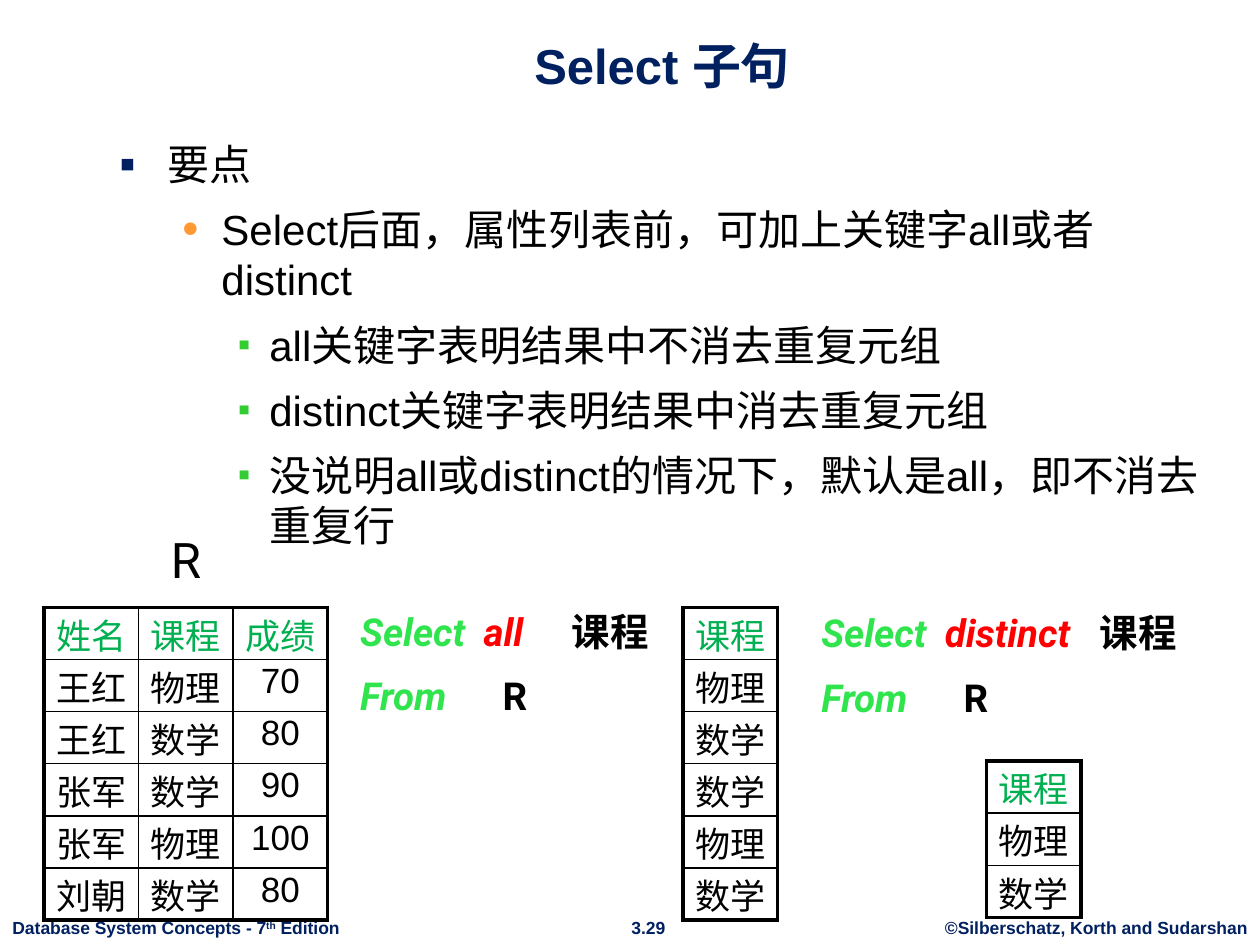
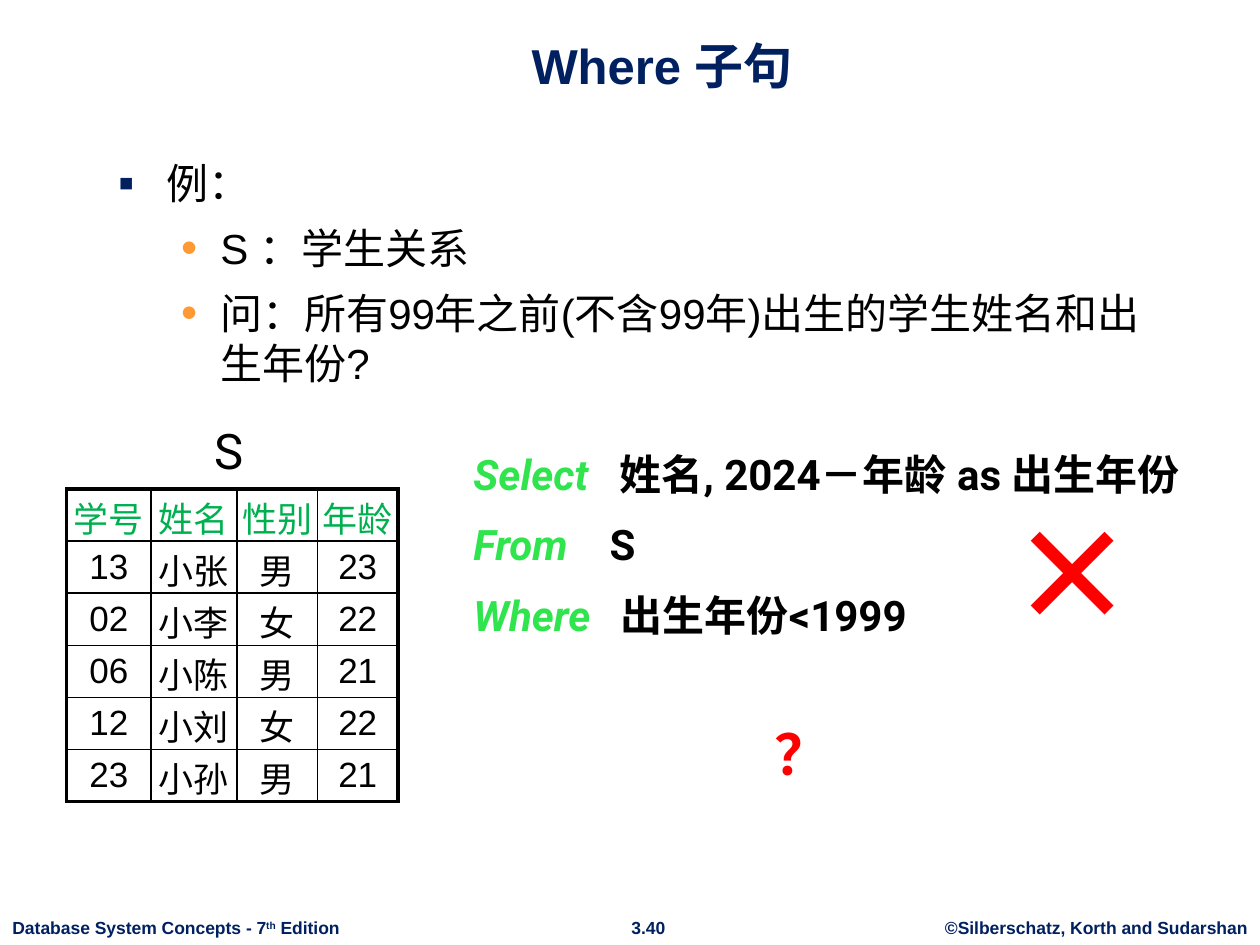
from lxml.etree import SubElement
from pptx import Presentation
from pptx.dml.color import RGBColor
from pptx.enum.text import MSO_ANCHOR as Anchor, PP_ALIGN as Align
from pptx.oxml.ns import qn
from pptx.util import Inches, Pt

NAVY, BLACK, WHITE, RED = "002060", "000000", "FFFFFF", "FF0000"
KEYWORD, HEADER_GREEN = "30E44E", "00B050"
SANS, CODE, SYMBOL = "Arial", "Roboto", "Noto Sans CJK SC"
LEVELS = [
    (0.38, -0.38, "▪", NAVY, 110),
    (0.81, -0.31, "•", "FF9933", 110),
    (1.19, -0.25, "▪", "33CC33", 85),
]
ROW_HEIGHT = 0.41
THIN, THICK = 1, 2.25


def rgb(value):
    """Turn a hex string into a colour."""
    return RGBColor.from_string(value)


def add_run(paragraph, text, size, color=BLACK, font=SANS, bold=False, italic=False):
    """Append one formatted run and return it."""
    run = paragraph.add_run()
    run.text = text
    run.font.size = Pt(size)
    run.font.bold = bold
    run.font.italic = italic
    run.font.color.rgb = rgb(color)
    run.font.name = font
    SubElement(run.font._element, qn("a:ea"), typeface=font)
    return run


def add_frame(slide, left, top, width, height, wrap=True, anchor=Anchor.TOP):
    """Add an empty text box and return its text frame."""
    box = slide.shapes.add_textbox(Inches(left), Inches(top), Inches(width), Inches(height))
    frame = box.text_frame
    frame.word_wrap = wrap
    frame.vertical_anchor = anchor
    return frame


def next_paragraph(frame, index, gap):
    """Return the paragraph at index, spaced from the one before it."""
    if index == 0:
        return frame.paragraphs[0]
    paragraph = frame.add_paragraph()
    paragraph.space_before = Pt(gap)
    return paragraph


def add_label(slide, place, text, size, color=BLACK, font=SANS, bold=False,
              align=Align.CENTER, wrap=True, anchor=Anchor.TOP):
    """Add a one-line text box and return its text frame."""
    frame = add_frame(slide, *place, wrap=wrap, anchor=anchor)
    frame.paragraphs[0].alignment = align
    add_run(frame.paragraphs[0], text, size, color, font, bold)
    return frame


def add_footer(slide, number):
    """Add the book name, the page number and the copyright line."""
    add_label(slide, (7.4, 7.23, 2.6, 0.27), "©Silberschatz, Korth and Sudarshan",
              10, NAVY, bold=True, wrap=False)
    add_label(slide, (4.9, 7.23, 0.49, 0.27), number, 10, NAVY, bold=True, wrap=False)
    book = add_label(slide, (0, 7.23, 2.81, 0.27), "Database System Concepts - 7",
                     10, NAVY, bold=True, align=Align.LEFT, wrap=False).paragraphs[0]
    ordinal = add_run(book, "th", 10, NAVY, bold=True)
    ordinal.font._element.set("baseline", "30000")
    add_run(book, " Edition", 10, NAVY, bold=True)


def start_slide(deck, title, number):
    """Add a blank slide with the shared title and footer."""
    slide = deck.slides.add_slide(deck.slide_layouts[6])
    add_footer(slide, number)
    add_label(slide, (0.84, 0.13, 8.83, 0.67), title, 28, NAVY, bold=True,
              anchor=Anchor.BOTTOM)
    return slide


def add_outline(slide, place, points):
    """Add bulleted (level, text) points."""
    frame = add_frame(slide, *place)
    for index, (level, text) in enumerate(points):
        paragraph = next_paragraph(frame, index, 8.4)
        margin, indent, mark, color, percent = LEVELS[level]
        paragraph.level = level
        properties = paragraph._p.get_or_add_pPr()
        properties.set("marL", str(Inches(margin)))
        properties.set("indent", str(Inches(indent)))
        mark_color = SubElement(properties, qn("a:buClr"))
        SubElement(mark_color, qn("a:srgbClr"), val=color)
        SubElement(properties, qn("a:buSzPct"), val=str(percent * 1000))
        SubElement(properties, qn("a:buFont"), typeface=SANS)
        SubElement(properties, qn("a:buChar"), char=mark)
        add_run(paragraph, text, 24)


def add_query(slide, place, size, clauses):
    """Add SQL clauses given as tab stops and (text, colour) parts."""
    frame = add_frame(slide, *place)
    for index, (stops, parts) in enumerate(clauses):
        paragraph = next_paragraph(frame, index, size * 0.3)
        tabs = SubElement(paragraph._p.get_or_add_pPr(), qn("a:tabLst"))
        for stop in stops:
            SubElement(tabs, qn("a:tab"), pos=str(Inches(stop)), algn="l")
        paragraph.line_spacing = 1.15
        for text, color in parts:
            add_run(paragraph, text, size, color, CODE, True, color != BLACK)


def set_borders(cell, widths):
    """Draw the left, right, top and bottom borders of a cell."""
    properties = cell._tc.get_or_add_tcPr()
    for position, (side, width) in enumerate(zip("LRTB", widths)):
        line = properties.makeelement(qn(f"a:ln{side}"), {"w": str(Pt(width))})
        fill = SubElement(line, qn("a:solidFill"))
        SubElement(fill, qn("a:srgbClr"), val=BLACK)
        properties.insert(position, line)


def fill_cell(cell, text, is_header, side_inset, anchor):
    """Write one table cell; Chinese words sit lower than digits."""
    cell.fill.solid()
    cell.fill.fore_color.rgb = rgb(WHITE)
    cell.vertical_anchor = anchor
    cell.margin_left = cell.margin_right = Inches(side_inset)
    is_number = text.isdigit()
    cell.margin_top = Inches(0.02 if is_number else 0.08)
    cell.margin_bottom = Inches(0.02 if is_number else 0)
    paragraph = cell.text_frame.paragraphs[0]
    paragraph.alignment = Align.CENTER
    add_run(paragraph, text, 20, HEADER_GREEN if is_header else BLACK)


def add_relation(slide, left, top, widths, rows, side_inset=0.04, anchor=Anchor.TOP):
    """Add a relation as a table with a thick frame and thin inner lines."""
    frame = slide.shapes.add_table(len(rows), len(widths), Inches(left), Inches(top),
                                   Inches(sum(widths)), Inches(ROW_HEIGHT * len(rows)))
    table = frame.table
    table.horz_banding = False
    for column, width in zip(table.columns, widths):
        column.width = Inches(width)
    for r, values in enumerate(rows):
        table.rows[r].height = Inches(ROW_HEIGHT)
        for c, text in enumerate(values):
            cell = table.cell(r, c)
            fill_cell(cell, text, r == 0, side_inset, anchor)
            edges = (c == 0, c == len(widths) - 1, r == 0, r == len(rows) - 1)
            set_borders(cell, [THICK if edge else THIN for edge in edges])


def build_select_slide(deck):
    """Build the slide on all and distinct."""
    slide = start_slide(deck, "Select 子句", "3.29")
    add_outline(slide, (0.85, 1.05, 8.93, 5.36), [
        (0, "要点"),
        (1, "Select后面，属性列表前，可加上关键字all或者distinct"),
        (2, "all关键字表明结果中不消去重复元组"),
        (2, "distinct关键字表明结果中消去重复元组"),
        (2, "没说明all或distinct的情况下，默认是all，即不消去重复行"),
    ])
    add_label(slide, (0.85, 4.15, 1.25, 0.57), "R", 28, font=CODE)
    grades = [
        ("姓名", "课程", "成绩"),
        ("王红", "物理", "70"),
        ("王红", "数学", "80"),
        ("张军", "数学", "90"),
        ("张军", "物理", "100"),
        ("刘朝", "数学", "80"),
    ]
    all_courses = [(course,) for _, course, _ in grades]
    distinct_courses = list(dict.fromkeys(all_courses))
    add_relation(slide, 0.35, 4.82, [0.75] * 3, grades)
    add_relation(slide, 5.42, 4.82, [0.75], all_courses)
    add_relation(slide, 7.83, 6.04, [0.75], distinct_courses)
    for place, quantifier, course_stop in [
        ((2.76, 4.72, 2.78, 1.05), "all", 1.68),
        ((6.42, 4.73, 3.58, 1.05), "distinct", 2.21),
    ]:
        add_query(slide, place, 22, [
            ((0.98, course_stop),
             [("Select\t", KEYWORD), (quantifier + "\t", RED), ("课程", BLACK)]),
            ((1.13,), [("From\t", KEYWORD), ("R", BLACK)]),
        ])


def build_where_slide(deck):
    """Build the slide with the faulty where clause."""
    slide = start_slide(deck, "Where 子句", "3.40")
    add_outline(slide, (0.84, 1.2, 8.43, 5.36), [
        (0, "例："),
        (1, "S ：学生关系"),
        (1, "问：所有99年之前(不含99年)出生的学生姓名和出生年份?"),
    ])
    add_label(slide, (1.6, 3.29, 0.42, 0.57), "S", 28, font=CODE, wrap=False)
    add_query(slide, (3.66, 3.45, 6.07, 1.73), 24, [
        ((1.16,), [("Select\t", KEYWORD), ("姓名, 2024－年龄 as 出生年份", BLACK)]),
        ((1.08,), [("From\t", KEYWORD), ("S", BLACK)]),
        ((1.17,), [("Where\t", KEYWORD), ("出生年份<1999", BLACK)]),
    ])
    add_relation(slide, 0.53, 3.88, [0.67, 0.68, 0.64, 0.64], [
        ("学号", "姓名", "性别", "年龄"),
        ("13", "小张", "男", "23"),
        ("02", "小李", "女", "22"),
        ("06", "小陈", "男", "21"),
        ("12", "小刘", "女", "22"),
        ("23", "小孙", "男", "21"),
    ], side_inset=0, anchor=Anchor.MIDDLE)
    cross = add_label(slide, (8.01, 3.78, 0.75, 1.5), "×", 72, RED, SYMBOL, True,
                      align=Align.LEFT, anchor=Anchor.MIDDLE)
    cross.margin_left = cross.margin_right = cross.margin_top = cross.margin_bottom = 0
    add_label(slide, (6.04, 5.66, 0.65, 0.65), "？", 32, RED, CODE, True, wrap=False)


def main():
    """Build and save the deck."""
    deck = Presentation()
    deck.slide_width, deck.slide_height = Inches(10), Inches(7.5)
    build_select_slide(deck)
    build_where_slide(deck)
    deck.save("out.pptx")


if __name__ == "__main__":
    main()
